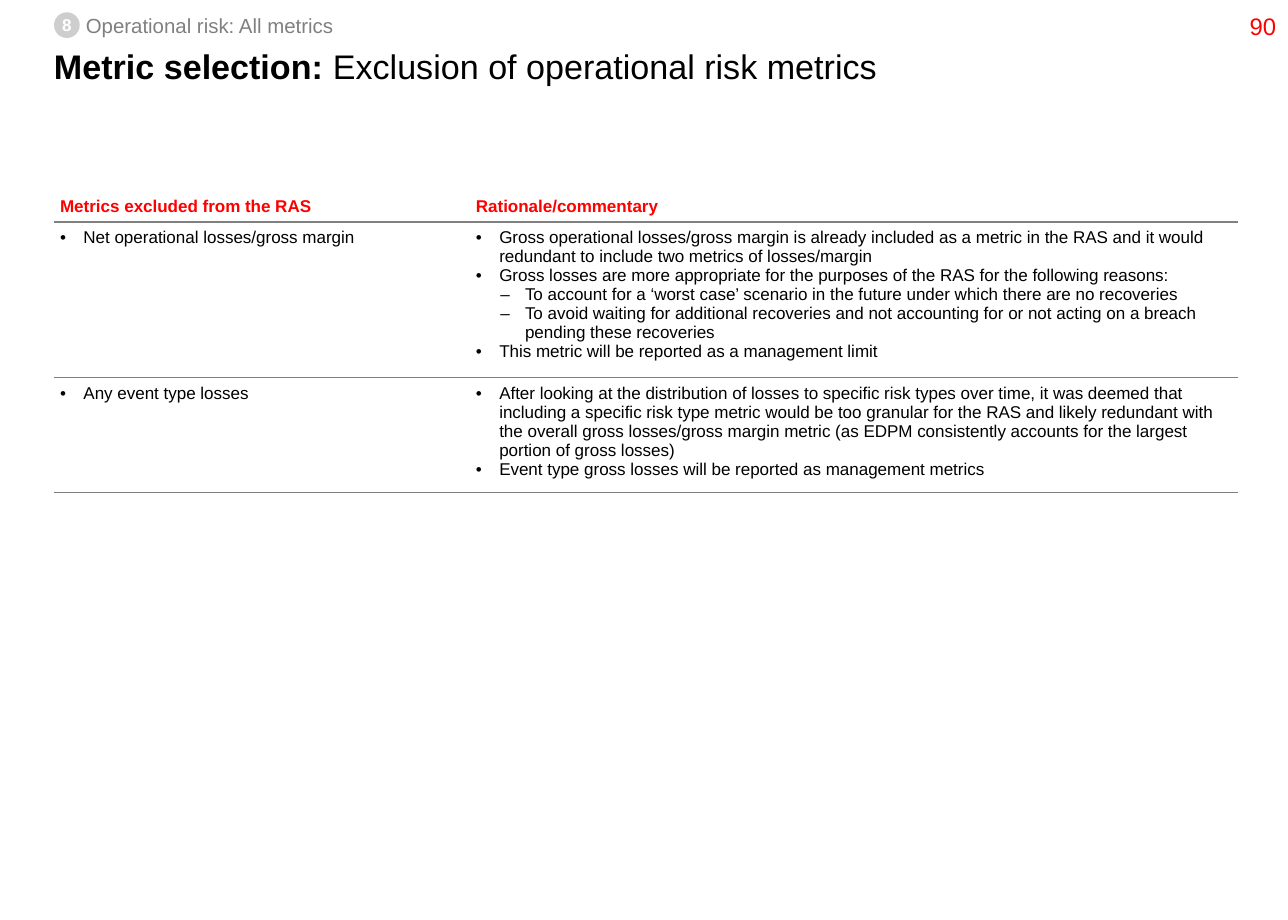
from lxml.etree import SubElement
from pptx import Presentation
from pptx.dml.color import RGBColor
from pptx.enum.shapes import MSO_SHAPE
from pptx.enum.text import MSO_ANCHOR, PP_ALIGN
from pptx.oxml import parse_xml
from pptx.oxml.ns import nsdecls, qn
from pptx.util import Inches, Pt

COLORS = {"text": "000000", "accent": "FF0000", "muted": "808080",
          "badge": "CECECE", "paper": "FFFFFF"}
FONT = "Arial"
TIGHT = 0.86
NO_STYLE = "{2D5ABB26-0587-4C30-8999-92F81FD0307C}"
# level: (bullet, left margin, hanging indent) in inches
BULLETS = {1: ("•", 0.19, 0.19), 2: ("–", 0.4, 0.2)}

COLUMNS = [3.39, 6.26]
ROWS = [0.27, 1.26, 0.94]
HEADERS = ["Metrics excluded from the RAS", "Rationale/commentary"]
METRICS = [
    ([(1, "Net operational losses/gross margin")],
     [(1, "Gross operational losses/gross margin is already included as a metric in the RAS "
          "and it would redundant to include two metrics of losses/margin"),
      (1, "Gross losses are more appropriate for the purposes of the RAS for the following "
          "reasons:"),
      (2, "To account for a ‘worst case’ scenario in the future under which there are no "
          "recoveries"),
      (2, "To avoid waiting for additional recoveries and not accounting for or not acting "
          "on a breach pending these recoveries"),
      (1, "This metric will be reported as a management limit")]),
    ([(1, "Any event type losses")],
     [(1, "After looking at the distribution of losses to specific risk types over time, it "
          "was deemed that including a specific risk type metric would be too granular for "
          "the RAS and likely redundant with the overall gross losses/gross margin metric "
          "(as EDPM consistently accounts for the largest portion of gross losses)"),
      (1, "Event type gross losses will be reported as management metrics")]),
]


def rgb(name):
    return RGBColor.from_string(COLORS[name])


def add_run(p, text, size, color="text", bold=False):
    r = p.add_run()
    r.text = text
    r.font.name, r.font.size, r.font.bold = FONT, Pt(size), bold
    r.font.color.rgb = rgb(color)


def add_text_box(slide, box, wrap=False):
    tf = slide.shapes.add_textbox(*map(Inches, box)).text_frame
    tf.margin_left = tf.margin_top = tf.margin_right = tf.margin_bottom = 0
    tf.word_wrap = wrap
    return tf


def add_title(slide, box):
    p = add_text_box(slide, box, wrap=True).paragraphs[0]
    p.line_spacing = TIGHT
    add_run(p, "Metric selection: ", 20, bold=True)
    add_run(p, "Exclusion of operational risk metrics", 20)


def add_section_tag(slide, box):
    """Numbered badge at the left of the box, section name beside it."""
    left, top, width, size = box
    sp = slide.shapes.add_shape(MSO_SHAPE.OVAL, *map(Inches, (left, top, size, size)))
    sp.shadow.inherit = False
    sp.fill.solid()
    sp.fill.fore_color.rgb = rgb("badge")
    sp.line.fill.background()
    tf = sp.text_frame
    tf.word_wrap = False
    tf.vertical_anchor = MSO_ANCHOR.MIDDLE
    p = tf.paragraphs[0]
    p.alignment = PP_ALIGN.CENTER
    add_run(p, "8", 10, "paper", bold=True)

    indent = size + 0.05
    tf = add_text_box(slide, (left + indent, top + 0.01, width - indent, 0.2))
    add_run(tf.paragraphs[0], "Operational risk: All metrics", 12, "muted")


def add_page_number(slide, box):
    tf = add_text_box(slide, box)
    tf.vertical_anchor = MSO_ANCHOR.MIDDLE
    p = tf.paragraphs[0]
    p.alignment = PP_ALIGN.CENTER
    add_run(p, "90", 14, "accent")


def set_bullet(p, level):
    char, margin, hanging = BULLETS[level]
    p.level = level
    pPr = p._p.get_or_add_pPr()
    pPr.set("marL", str(Inches(margin)))
    pPr.set("indent", str(-Inches(hanging)))
    clr = SubElement(pPr, qn("a:buClr"))
    SubElement(clr, qn("a:srgbClr"), val=COLORS["text"])
    SubElement(pPr, qn("a:buFont"), typeface=FONT)
    SubElement(pPr, qn("a:buChar"), char=char)


def style_cell(cell, header):
    cell.margin_left = cell.margin_right = Inches(0.05)
    cell.margin_top = cell.margin_bottom = Inches(0.05)
    cell.vertical_anchor = MSO_ANCHOR.BOTTOM if header else MSO_ANCHOR.TOP
    if header:
        cell.fill.background()
    else:
        cell.fill.solid()
        cell.fill.fore_color.rgb = rgb("paper")
    rule = parse_xml(
        f'<a:lnB {nsdecls("a")} w="{Pt(0.75)}"><a:solidFill>'
        f'<a:srgbClr val="{COLORS["muted"]}"/></a:solidFill></a:lnB>')
    cell._tc.get_or_add_tcPr().insert(0, rule)


def add_metrics_table(slide, left, top):
    frame = slide.shapes.add_table(
        len(ROWS), len(COLUMNS),
        *map(Inches, (left, top, sum(COLUMNS), sum(ROWS))))
    table = frame.table
    table.horz_banding = False
    table._tbl.tblPr.find(qn("a:tableStyleId")).text = NO_STYLE
    for column, width in zip(table.columns, COLUMNS):
        column.width = Inches(width)
    for row, height in zip(table.rows, ROWS):
        row.height = Inches(height)

    for col, text in enumerate(HEADERS):
        cell = table.cell(0, col)
        style_cell(cell, header=True)
        p = cell.text_frame.paragraphs[0]
        p.line_spacing = TIGHT
        add_run(p, text, 10, "accent", bold=True)

    for row, metric in enumerate(METRICS, 1):
        for col, items in enumerate(metric):
            cell = table.cell(row, col)
            style_cell(cell, header=False)
            tf = cell.text_frame
            for i, (level, text) in enumerate(items):
                p = tf.add_paragraph() if i else tf.paragraphs[0]
                set_bullet(p, level)
                add_run(p, text, 10)


def main():
    prs = Presentation()
    prs.slide_width, prs.slide_height = Inches(10.5), Inches(7.5)
    slide = prs.slides.add_slide(prs.slide_layouts[6])
    margin = 0.44
    add_title(slide, (margin, 0.42, 9.63, 0.8))
    add_section_tag(slide, (margin, 0.1, 2.29, 0.21))
    add_metrics_table(slide, margin, 1.54)
    add_page_number(slide, (10.09, 0, 0.41, 0.42))
    prs.save("out.pptx")


if __name__ == "__main__":
    main()
